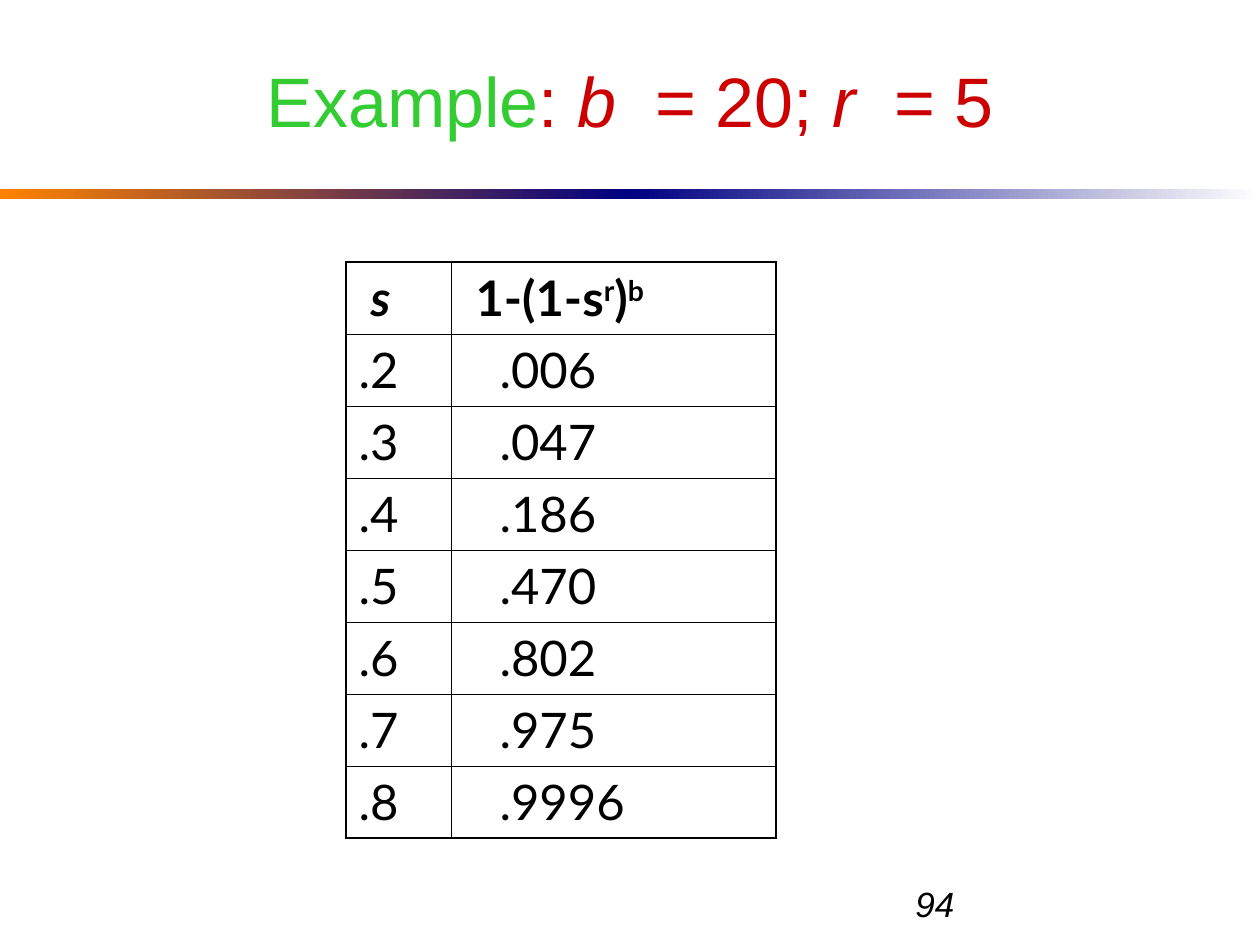
from lxml import etree
from pptx import Presentation
from pptx import util as u
from pptx.dml.color import RGBColor
from pptx.enum import shapes, text
from pptx.oxml import ns

THEME = {
    "green": "33CC33", "red": "CC0000", "black": "000000",
    "orange": "FF8200", "navy": "000082", "white": "FFFFFF",
    "title_font": "Arial", "table_font": "Lato",
    "title_size": 40, "table_size": 28, "number_size": 20,
    "outer_line": 1.08, "inner_line": 0.45,
}

# Runs are (text, format); spc is the spacing after a letter, in 1/100 pt.
VARIABLE = {"italic": True, "spc": 1100}
TITLE = [("Example", {"color": "green"}), (": ", {}), ("b", VARIABLE),
         (" = 20; ", {}), ("r", VARIABLE), (" = 5", {})]
HEADER = [
    [("s", {"italic": True})],
    [("1-(1-s", {}), ("r", {"baseline": 30000}), (")", {}), ("b", {"baseline": 30000})],
]
VALUES = [(".2", ".006"), (".3", ".047"), (".4", ".186"), (".5", ".470"),
          (".6", ".802"), (".7", ".975"), (".8", ".9996")]
PAGE_NUMBER = "94"

SLIDE = (1260, 945)
TITLE_BOX = (63, 32, 1134, 136)
NUMBER_BOX = (903, 876, 294, 50)
BAR_TOP, BAR_HEIGHT = 189, 10
BAR_COLORS = ["orange", "navy", "white"]
TABLE_LEFT, TABLE_TOP = 346, 262
COLUMN_WIDTHS, ROW_HEIGHT = [105, 325], 72
HEADER_INDENTS, VALUE_INDENTS = (12, 12), (0, 36)


def px(length):
    return u.Emu(round(length * 914400 / 126))


def rgb(name):
    return RGBColor.from_string(THEME[name])


def write_runs(paragraph, runs, **base):
    for content, changes in runs:
        style = {**base, **changes}
        run = paragraph.add_run()
        run.text = content
        run.font.color.rgb = rgb(style.pop("color"))
        for key, value in style.items():
            if key in ("spc", "baseline"):
                run.font._element.set(key, str(value))
            else:
                setattr(run.font, key, value)


def place(shape, box):
    for name, value in zip(("left", "top", "width", "height"), box):
        setattr(shape, name, px(value))


def add_bar(slide):
    """Draw one gradient half between each pair of neighbouring colours."""
    half = SLIDE[0] // 2
    for index, ends in enumerate(zip(BAR_COLORS, BAR_COLORS[1:])):
        shape = slide.shapes.add_shape(
            shapes.MSO_SHAPE.RECTANGLE, px(index * half), px(BAR_TOP), px(half), px(BAR_HEIGHT))
        shape.shadow.inherit = False
        shape.line.fill.background()
        shape.fill.gradient()
        shape.fill.gradient_angle = 0
        for stop, name, position in zip(shape.fill.gradient_stops, ends, (0, 1)):
            stop.color.rgb = rgb(name)
            stop.position = position


def set_borders(cell, outer_sides):
    properties = cell._tc.get_or_add_tcPr()
    for side in "LRTB":
        width = THEME["outer_line" if side in outer_sides else "inner_line"]
        line = etree.SubElement(properties, ns.qn(f"a:ln{side}"), w=str(u.Pt(width)))
        fill = etree.SubElement(line, ns.qn("a:solidFill"))
        etree.SubElement(fill, ns.qn("a:srgbClr"), val=THEME["black"])


def add_table(slide):
    rows = [HEADER] + [[[(value, {})] for value in pair] for pair in VALUES]
    last_row, last_column = len(rows) - 1, len(COLUMN_WIDTHS) - 1
    table = slide.shapes.add_table(
        len(rows), len(COLUMN_WIDTHS), px(TABLE_LEFT), px(TABLE_TOP),
        px(sum(COLUMN_WIDTHS)), px(ROW_HEIGHT * len(rows))).table
    table.first_row = table.horz_banding = False
    for column, width in zip(table.columns, COLUMN_WIDTHS):
        column.width = px(width)
    for r, row in enumerate(rows):
        indents = HEADER_INDENTS if r == 0 else VALUE_INDENTS
        for c, runs in enumerate(row):
            cell = table.cell(r, c)
            edges = {"T": r == 0, "B": r == last_row, "L": c == 0, "R": c == last_column}
            set_borders(cell, [side for side, outer in edges.items() if outer])
            cell.fill.background()
            paragraph = cell.text_frame.paragraphs[0]
            paragraph._p.get_or_add_pPr().set("marL", str(px(indents[c])))
            write_runs(paragraph, runs, color="black", name=THEME["table_font"],
                       size=u.Pt(THEME["table_size"]), bold=r == 0)


def main():
    presentation = Presentation()
    presentation.slide_width, presentation.slide_height = map(px, SLIDE)
    slide = presentation.slides.add_slide(presentation.slide_layouts[5])

    add_bar(slide)

    number = slide.shapes.add_textbox(*map(px, NUMBER_BOX))
    number.text_frame.word_wrap = True
    write_runs(number.text_frame.paragraphs[0], [(PAGE_NUMBER, {})], color="black",
               name=THEME["title_font"], size=u.Pt(THEME["number_size"]), italic=True)

    title = slide.shapes.title
    place(title, TITLE_BOX)
    title.text_frame.vertical_anchor = text.MSO_ANCHOR.MIDDLE
    title.text_frame.auto_size = text.MSO_AUTO_SIZE.NONE
    paragraph = title.text_frame.paragraphs[0]
    paragraph.alignment = text.PP_ALIGN.CENTER
    write_runs(paragraph, TITLE, color="red", name=THEME["title_font"],
               size=u.Pt(THEME["title_size"]))

    add_table(slide)
    presentation.save("out.pptx")


if __name__ == "__main__":
    main()
